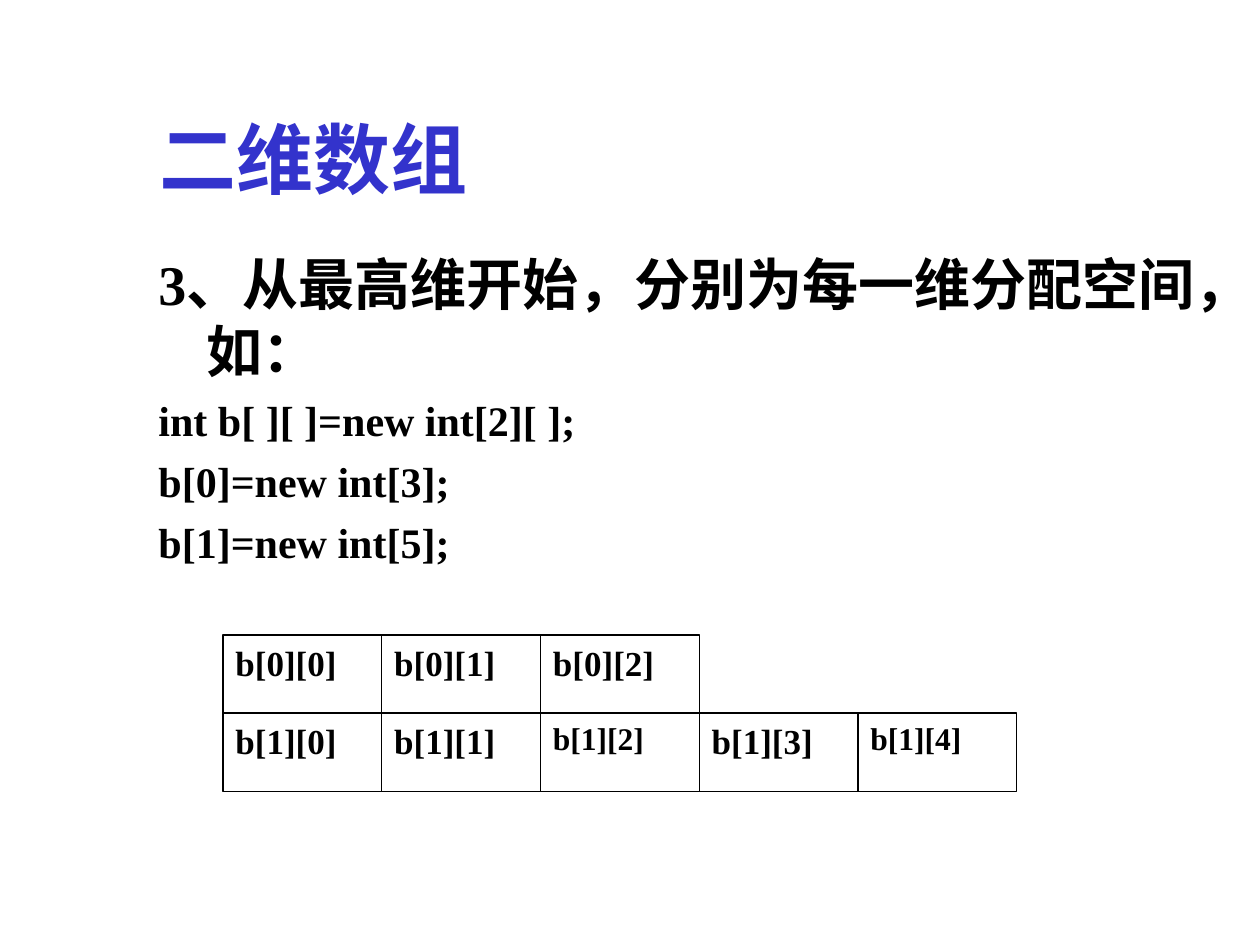
from dataclasses import dataclass

from pptx import Presentation
from pptx.dml.color import RGBColor
from pptx.enum.shapes import MSO_SHAPE
from pptx.enum.text import MSO_ANCHOR, PP_ALIGN
from pptx.util import Inches, Pt

RECT = MSO_SHAPE.RECTANGLE
TOP, BOTTOM = MSO_ANCHOR.TOP, MSO_ANCHOR.BOTTOM
LEFT, JUSTIFY = PP_ALIGN.LEFT, PP_ALIGN.JUSTIFY


@dataclass(frozen=True)
class Theme:
    face: str = "Times New Roman"
    title: RGBColor = RGBColor(0x33, 0x33, 0xCC)
    ink: RGBColor = RGBColor(0, 0, 0)
    paper: RGBColor = RGBColor(255, 255, 255)
    head: int = 44
    lead: int = 32
    code: int = 24
    cell: int = 20
    small: int = 18
    rule: float = 0.75


THEME = Theme()
WIDE, HIGH = 10, 7.5
TITLE = "二维数组"
LEAD = "3、从最高维开始，分别为每一维分配空间，如："
CODE = ["int b[ ][ ]=new int[2][ ];", "b[0]=new int[3];", "b[1]=new int[5];"]
ROWS = [3, 5]
SMALL = {(1, 2), (1, 4)}


def style(para, size, color=THEME.ink, align=LEFT):
    para.alignment = align
    font = para.font
    font.name, font.size, font.bold = THEME.face, Pt(size), True
    font.color.rgb = color


def add_frame(slide, box, anchor):
    frame = slide.shapes.add_textbox(*map(Inches, box)).text_frame
    frame.word_wrap = True
    frame.vertical_anchor = anchor
    return frame


def add_title(slide, box):
    para = add_frame(slide, box, BOTTOM).paragraphs[0]
    para.text = TITLE
    style(para, THEME.head, THEME.title)


def add_body(slide, box):
    frame = add_frame(slide, box, TOP)
    for i, text in enumerate([LEAD, *CODE]):
        para = frame.add_paragraph() if i else frame.paragraphs[0]
        para.text = text
        if i:
            para.space_before = Pt(6)
        props = para._p.get_or_add_pPr()
        props.set("marL", str(Inches(0.38)))
        props.set("indent", str(Inches(-0.38)))
        style(para, THEME.code if i else THEME.lead)


def add_cell(group, box, text, size):
    cell = group.shapes.add_shape(RECT, *map(Inches, box))
    cell.shadow.inherit = False
    cell.fill.solid()
    cell.fill.fore_color.rgb = THEME.paper
    cell.line.color.rgb = THEME.ink
    cell.line.width = Pt(THEME.rule)
    frame = cell.text_frame
    frame.vertical_anchor = TOP
    para = frame.paragraphs[0]
    para.text = text
    style(para, size, align=JUSTIFY)


def add_grid(slide, box):
    """Draw the ragged array, one row of cells for each first index."""
    left, top, width, height = box
    wide, high = width / max(ROWS), height / len(ROWS)
    group = slide.shapes.add_group_shape()
    for row, count in enumerate(ROWS):
        for col in range(count):
            size = THEME.small if (row, col) in SMALL else THEME.cell
            place = left + col * wide, top + row * high, wide, high
            add_cell(group, place, f"b[{row}][{col}]", size)


def main():
    deck = Presentation()
    deck.slide_width, deck.slide_height = Inches(WIDE), Inches(HIGH)
    slide = deck.slides.add_slide(deck.slide_layouts[6])
    slide.background.fill.solid()
    slide.background.fill.fore_color.rgb = THEME.paper
    add_title(slide, (1.17, 0.42, 8.5, 1.25))
    add_body(slide, (1.16, 1.93, 8.5, 4.5))
    add_grid(slide, (1.77, 5.04, 6.3, 1.24))
    deck.save("out.pptx")


if __name__ == "__main__":
    main()
